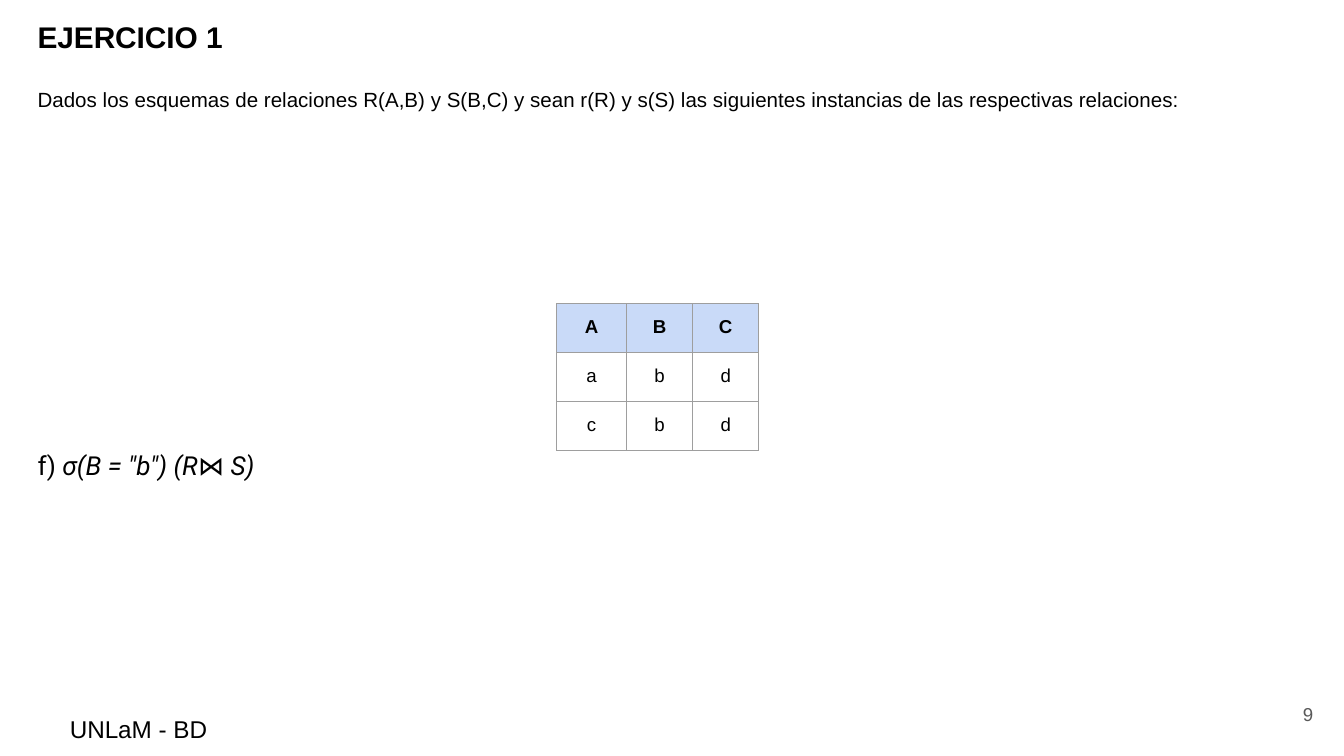
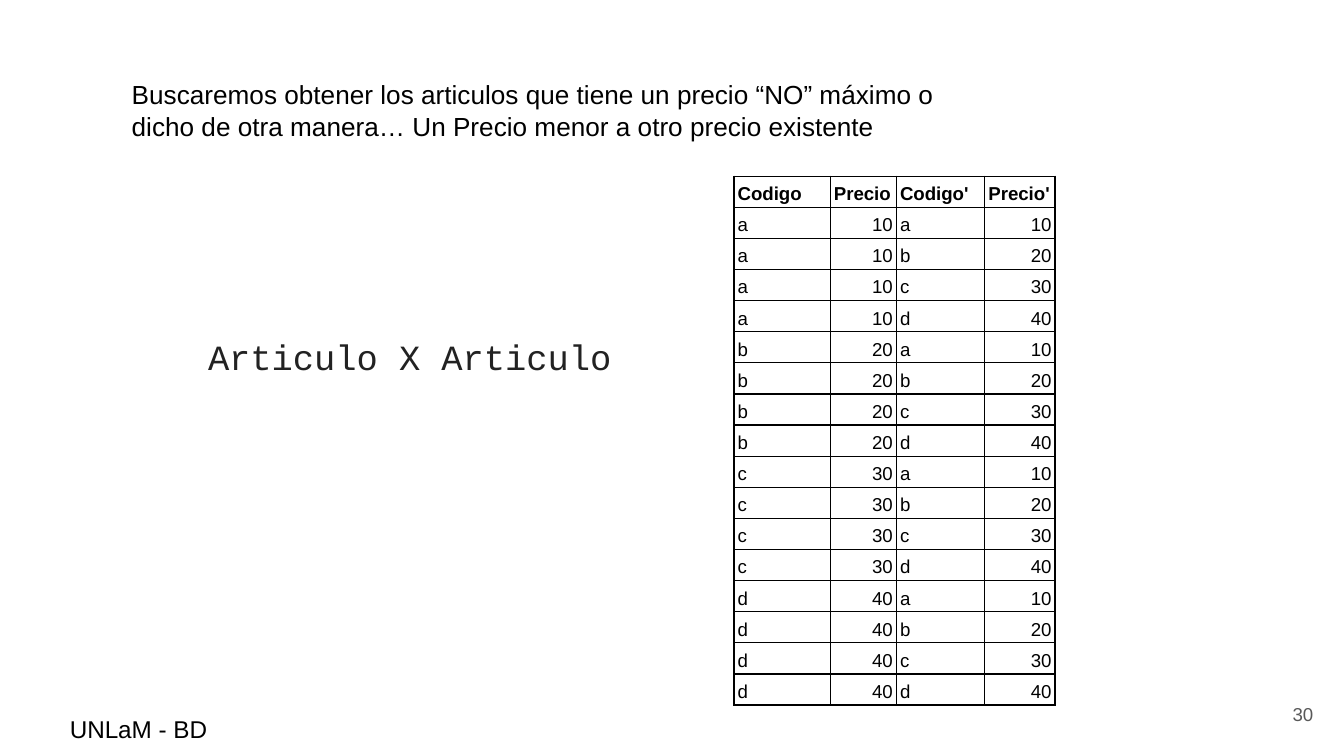
from itertools import product

from lxml import etree
from pptx import Presentation
from pptx.dml.color import RGBColor
from pptx.enum.text import MSO_ANCHOR, PP_ALIGN
from pptx.oxml.ns import qn
from pptx.util import Cm, Pt

LEFT, MID, RIGHT = PP_ALIGN.LEFT, PP_ALIGN.CENTER, PP_ALIGN.RIGHT
TOP, CENTER, BASE = MSO_ANCHOR.TOP, MSO_ANCHOR.MIDDLE, MSO_ANCHOR.BOTTOM

HUES = {
    "ink": "000000",
    "code": "222222",
    "page": "595959",
    "rule": "9E9E9E",
    "head": "C9DAF8",
}
WIDE, HIGH = 25.4, 14.29
PAD = 0.25
INDENT = 0.46
LINE = 1.15


def write(para, text, size=10, font="Arial", hue="ink", bold=False,
          italic=False, align=LEFT, line=None, before=None, indent=None):
    """Add a run to the paragraph and format both."""
    run = para.add_run()
    run.text = text
    run.font.size = Pt(size)
    run.font.name = font
    run.font.bold = bold
    run.font.italic = italic
    run.font.color.rgb = RGBColor.from_string(HUES[hue])
    para.alignment = align
    if line:
        para.line_spacing = line
    if before:
        para.space_before = Pt(before)
    if indent:
        props = para._p.get_or_add_pPr()
        props.set("marL", str(Cm(indent)))
        props.set("indent", "0")


def frame(slide, box, anchor=TOP):
    """Add an empty wrapping text box and return its text frame."""
    body = slide.shapes.add_textbox(*map(Cm, box)).text_frame
    body.word_wrap = True
    body.vertical_anchor = anchor
    body.margin_left = body.margin_right = Cm(PAD)
    body.margin_top = body.margin_bottom = Cm(PAD)
    return body


def label(slide, box, text, anchor=TOP, **fmt):
    write(frame(slide, box, anchor).paragraphs[0], text, **fmt)


def border(cell, hue):
    props = cell._tc.get_or_add_tcPr()
    for side in ("a:lnL", "a:lnR", "a:lnT", "a:lnB"):
        line = etree.SubElement(props, qn(side), w=str(Pt(0.75)))
        fill = etree.SubElement(line, qn("a:solidFill"))
        etree.SubElement(fill, qn("a:srgbClr"), val=HUES[hue])


def grid(slide, spot, cols, high, rows, rule, pads, aligns,
         head=None, anchor=TOP, line=None):
    """Add a table whose first row is bold; pads are side and top margins."""
    size = (sum(cols), high * len(rows))
    table = slide.shapes.add_table(
        len(rows), len(cols), *map(Cm, spot + size)).table
    table.first_row = table.horz_banding = False
    for col, width in zip(table.columns, cols):
        col.width = Cm(width)
    for row in table.rows:
        row.height = Cm(high)
    for r, c in product(range(len(rows)), range(len(cols))):
        cell = table.cell(r, c)
        cell.margin_left = cell.margin_right = Cm(pads[0])
        cell.margin_top = cell.margin_bottom = Cm(pads[1])
        cell.vertical_anchor = anchor
        border(cell, rule)
        if head and r == 0:
            cell.fill.solid()
            cell.fill.fore_color.rgb = RGBColor.from_string(HUES[head])
        else:
            cell.fill.background()
        align = aligns[c] if r or head else LEFT
        write(cell.text_frame.paragraphs[0], rows[r][c], bold=r == 0,
              align=align, line=line)


def footer(slide, box, page):
    left, top, wide, high = box
    label(slide, (left + 1.07, top + high - 1.03, 3.66, 0.79),
          "UNLaM - BD", size=13)
    label(slide, (left + wide - 1.85, top + high - 1.34, 1.52, 1.09),
          page, anchor=CENTER, hue="page", align=RIGHT)


def task(slide, box):
    """Exercise statement, selection formula and its resulting relation."""
    left, top, wide, _ = box
    body = frame(slide, (left, top, wide - 0.18, 3.5))
    write(body.paragraphs[0], "EJERCICIO 1", size=16, bold=True,
          line=LINE, before=29.5, indent=INDENT)
    write(body.add_paragraph(),
          "Dados los esquemas de relaciones R(A,B) y S(B,C) y sean r(R) y "
          "s(S) las siguientes instancias de las respectivas relaciones:",
          size=11, line=LINE, before=15.8, indent=INDENT)

    para = frame(slide, (left, top + 8.15, 18.08, 2.06)).paragraphs[0]
    for text, italic in (("f) ", False), ('σ(B = "b") (R⋈ S)', True)):
        write(para, text, size=14, font="Roboto", italic=italic,
              line=LINE, indent=INDENT)

    grid(slide, (left + 10.52, top + 5.74), (1.32, 1.25, 1.25), 0.9,
         ("ABC", "abd", "cbd"), "rule", (PAD, PAD), (MID,) * 3, head="head")


def cross(slide, box):
    """Product of the article relation with itself."""
    left, top = box[:2]
    label(slide, (left + 2.24, top + 1.24, 16, 1.68),
          "Buscaremos obtener los articulos que tiene un precio “NO” máximo o "
          "dicho de otra manera… Un Precio menor a otro precio existente",
          size=14)
    items = [("a", "10"), ("b", "20"), ("c", "30"), ("d", "40")]
    rows = [("Codigo", "Precio", "Codigo'", "Precio'")]
    rows += [one + two for one, two in product(items, items)]
    grid(slide, (left + 13.87, top + 3.33), (1.82, 1.25, 1.67, 1.33), 0.56,
         rows, "ink", (0.07, 0.05), (LEFT, RIGHT) * 2, anchor=BASE, line=LINE)
    label(slide, (left + 3.58, top + 5.97, 8.33, 1.68), "Articulo X Articulo",
          size=19, font="Courier New", hue="code", align=MID,
          line=LINE, before=4)


def main():
    deck = Presentation()
    deck.slide_width, deck.slide_height = Cm(WIDE), Cm(HIGH)
    box = (0, 0, WIDE, HIGH)
    for draw, page in ((task, "9"), (cross, "30")):
        slide = deck.slides.add_slide(deck.slide_layouts[6])
        draw(slide, box)
        footer(slide, box, page)
    deck.save("out.pptx")


if __name__ == "__main__":
    main()
